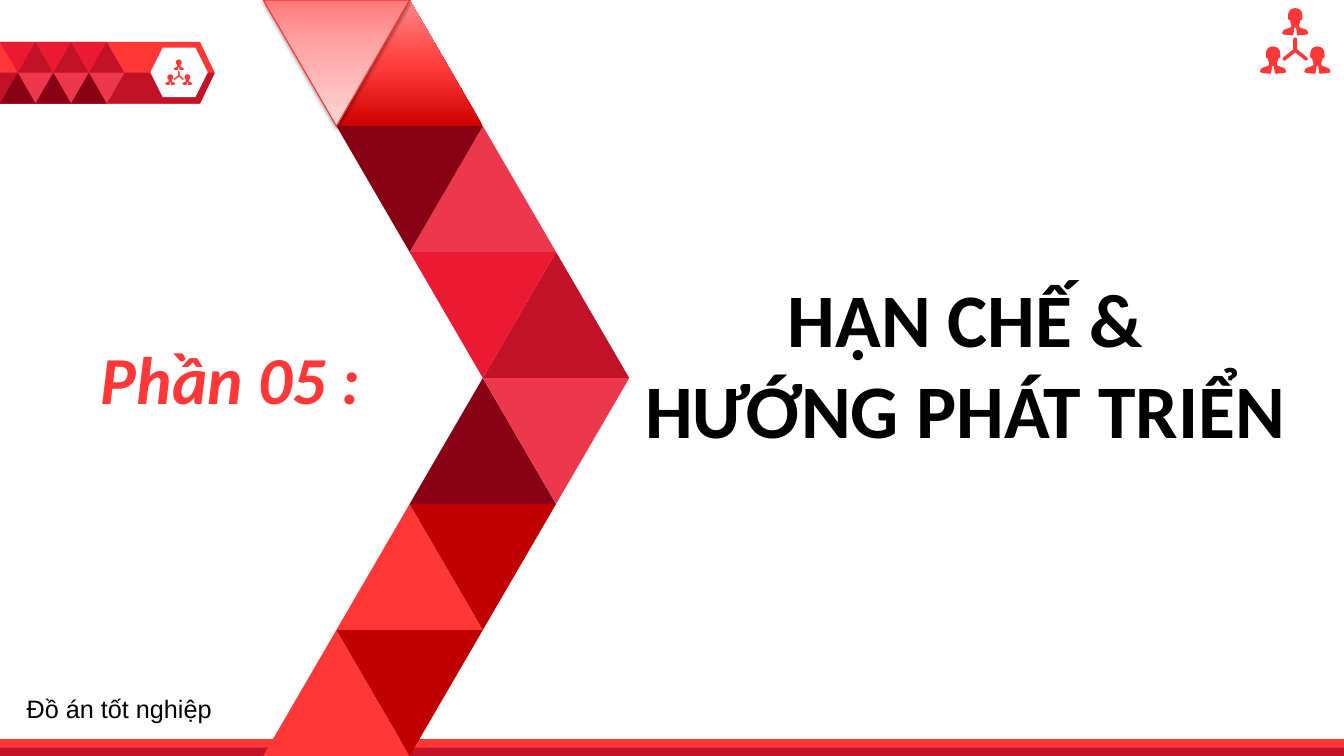
from lxml import etree
from pptx import Presentation
from pptx.dml.color import RGBColor
from pptx.enum.shapes import MSO_SHAPE
from pptx.enum.text import PP_ALIGN
from pptx.oxml.ns import qn
from pptx.util import Pt

COLORS = {
    "bright": "FF3737", "crimson": "C21227", "scarlet": "EB1932",
    "rose": "ED374D", "maroon": "880014", "dark": "C00000",
    "outline": "FD3030", "white": "FFFFFF", "black": "000000",
}
DEEP_GRADIENT = [(0, "CF0000"), (48, "FF3C3C"), (100, "FF8787")]
PALE_GRADIENT = [(0, "FF7A7B"), (35, "FFA3A3"), (100, "FFD6D6")]

# Each row: step and fill of the upward triangle, then of the downward one.
CHEVRON_ROWS = [
    (1, DEEP_GRADIENT, 0, PALE_GRADIENT),
    (2, "rose", 1, "maroon"),
    (3, "crimson", 2, "scarlet"),
    (2, "maroon", 3, "rose"),
    (1, "bright", 2, "dark"),
    (0, "bright", 1, "dark"),
]

# Right halves of the symmetric icon outlines, on a grid 70 wide and 65 high.
PERSON_HALF = [
    (0, 0), (2.8, 0.5), (5, 1.8), (6.5, 4), (7, 6.5), (7, 8), (7.2, 10),
    (6.5, 11.5), (5, 12), (4.8, 14), (4, 16), (3.8, 18), (5, 19.3),
    (7, 20), (10, 21), (12, 22.3), (13, 25), (12, 26), (8, 26.8),
    (2, 27), (1, 21), (1.5, 20.5), (0, 19),
]
FORK_HALF = [
    (0, 29), (1.4, 29.6), (2, 31), (2, 41), (12, 49), (12.5, 50),
    (12.2, 51.2), (11, 52), (10, 52), (0, 44),
]
ICON_PARTS = [
    (PERSON_HALF, 35, 0), (PERSON_HALF, 13, 38),
    (PERSON_HALF, 57, 38), (FORK_HALF, 35, 0),
]


def rgb(name):
    return RGBColor.from_string(COLORS[name])


def paint(shape, fill):
    """Fill with a named colour or a list of gradient stops, with no line or shadow."""
    shape.shadow.inherit = False
    shape.line.fill.background()
    if isinstance(fill, str):
        shape.fill.solid()
        shape.fill.fore_color.rgb = rgb(fill)
        return
    shape.fill.gradient()
    shape.fill.gradient_angle = 90
    stops = shape._element.spPr.find(qn("a:gradFill")).find(qn("a:gsLst"))
    for stop in list(stops):
        stops.remove(stop)
    for percent, color in fill:
        stop = etree.SubElement(stops, qn("a:gs"), pos=str(percent * 1000))
        etree.SubElement(stop, qn("a:srgbClr"), val=color)


def add_shape(page, kind, box, fill):
    shape = page.shapes.add_shape(kind, *(Pt(length) for length in box))
    paint(shape, fill)
    return shape


def add_triangle(page, box, fill, down=False):
    shape = add_shape(page, MSO_SHAPE.ISOSCELES_TRIANGLE, box, fill)
    if down:
        shape.rotation = 180
    return shape


def add_outline(page, contours, fill):
    """Draw closed contours, given in points, as one shape."""
    builder = None
    for contour in contours:
        start, *rest = [(Pt(x), Pt(y)) for x, y in contour]
        if builder is None:
            builder = page.shapes.build_freeform(*start, scale=1.0)
        else:
            builder.move_to(*start)
        builder.add_line_segments(rest, close=True)
    shape = builder.convert_to_shape()
    paint(shape, fill)
    return shape


def add_text(page, box, text, font="Calibri", size=18, color="black",
             bold=False, italic=False, align=PP_ALIGN.LEFT):
    frame = page.shapes.add_textbox(*(Pt(length) for length in box)).text_frame
    frame.word_wrap = True
    for index, line in enumerate(text.split("\n")):
        para = frame.paragraphs[0] if index == 0 else frame.add_paragraph()
        para.alignment = align
        span = para.add_run()
        span.text = line
        span.font.name = font
        span.font.size = Pt(size)
        span.font.bold = bold
        span.font.italic = italic
        span.font.color.rgb = rgb(color)


def add_people_icon(page, left, top, width):
    unit = width / 70
    contours = []
    for half, center, offset in ICON_PARTS:
        mirrored = [(-x, y) for x, y in reversed(half) if x]
        contours.append([(left + (center + x) * unit, top + (offset + y) * unit)
                         for x, y in half + mirrored])
    add_outline(page, contours, "bright")


def add_banner(page, left, top, width, height):
    row = height / 2
    tip = 10.5
    right, middle, bottom = left + width, top + row, top + height
    plate = add_shape(page, MSO_SHAPE.PENTAGON, (left, top, width, height), "bright")
    plate.adjustments[0] = tip / height
    add_outline(page, [[(left, middle), (right, middle),
                        (right - tip, bottom), (left, bottom)]], "crimson")
    add_shape(page, MSO_SHAPE.HEXAGON, (right - 46, top + 4, 41, 35.5), "white")
    add_people_icon(page, right - 35.4, top + 12.5, 19.5)

    side = 25.4
    for column in range(3):
        x = left + column * side
        shifted = x + side / 2
        add_triangle(page, (x, top, side, row), "scarlet", down=True)
        add_triangle(page, (shifted, top, side, row), "crimson")
        add_triangle(page, (shifted, middle, side, row), "rose", down=True)
        add_triangle(page, (x, middle, side, row), "maroon")


def add_footer_bar(page, left, top, width, height):
    add_shape(page, MSO_SHAPE.RECTANGLE, (left, top, width, height), "bright")
    add_shape(page, MSO_SHAPE.RECTANGLE,
              (left, top + height / 2, width, height / 2), "crimson")


def add_glow_edge(shape):
    """Give the pale triangle its thin line and soft shadow."""
    shape.line.color.rgb = rgb("outline")
    shape.line.width = Pt(0.75)
    effects = shape._element.spPr.find(qn("a:effectLst"))
    shadow = etree.SubElement(effects, qn("a:outerShdw"), blurRad=str(Pt(3.1)),
                              dist=str(Pt(1.6)), dir="5400000", rotWithShape="0")
    color = etree.SubElement(shadow, qn("a:srgbClr"), val=COLORS["black"])
    etree.SubElement(color, qn("a:alpha"), val="38000")


def add_chevron(page, left, top, width, height):
    step = width / 5
    row_height = height / len(CHEVRON_ROWS)
    for row, (up_step, up_fill, down_step, down_fill) in enumerate(CHEVRON_ROWS):
        y = top + row * row_height
        size = (step * 2, row_height)
        add_triangle(page, (left + up_step * step, y, *size), up_fill)
        lower = add_triangle(page, (left + down_step * step, y, *size), down_fill, down=True)
        if down_fill is PALE_GRADIENT:
            add_glow_edge(lower)


def add_section_page(deck):
    page = deck.slides.add_slide(deck.slide_layouts[6])
    add_banner(page, 0, 30, 153.4, 44)
    add_footer_bar(page, 0, 528, 960, 12)
    add_chevron(page, 188, 0, 261.5, 540)
    add_text(page, (65, 237.5, 297, 65), "Phần 05 :", size=48, color="bright",
             bold=True, italic=True)
    add_text(page, (450.5, 191, 478, 138), "HẠN CHẾ &\nHƯỚNG PHÁT TRIỂN",
             size=54, bold=True, align=PP_ALIGN.CENTER)
    add_people_icon(page, 900, 5.8, 50.4)
    add_text(page, (12, 492, 204, 29), "Đồ án tốt nghiệp", font="Arial")


def main():
    deck = Presentation()
    deck.slide_width, deck.slide_height = Pt(960), Pt(540)
    add_section_page(deck)
    deck.save("out.pptx")


if __name__ == "__main__":
    main()
